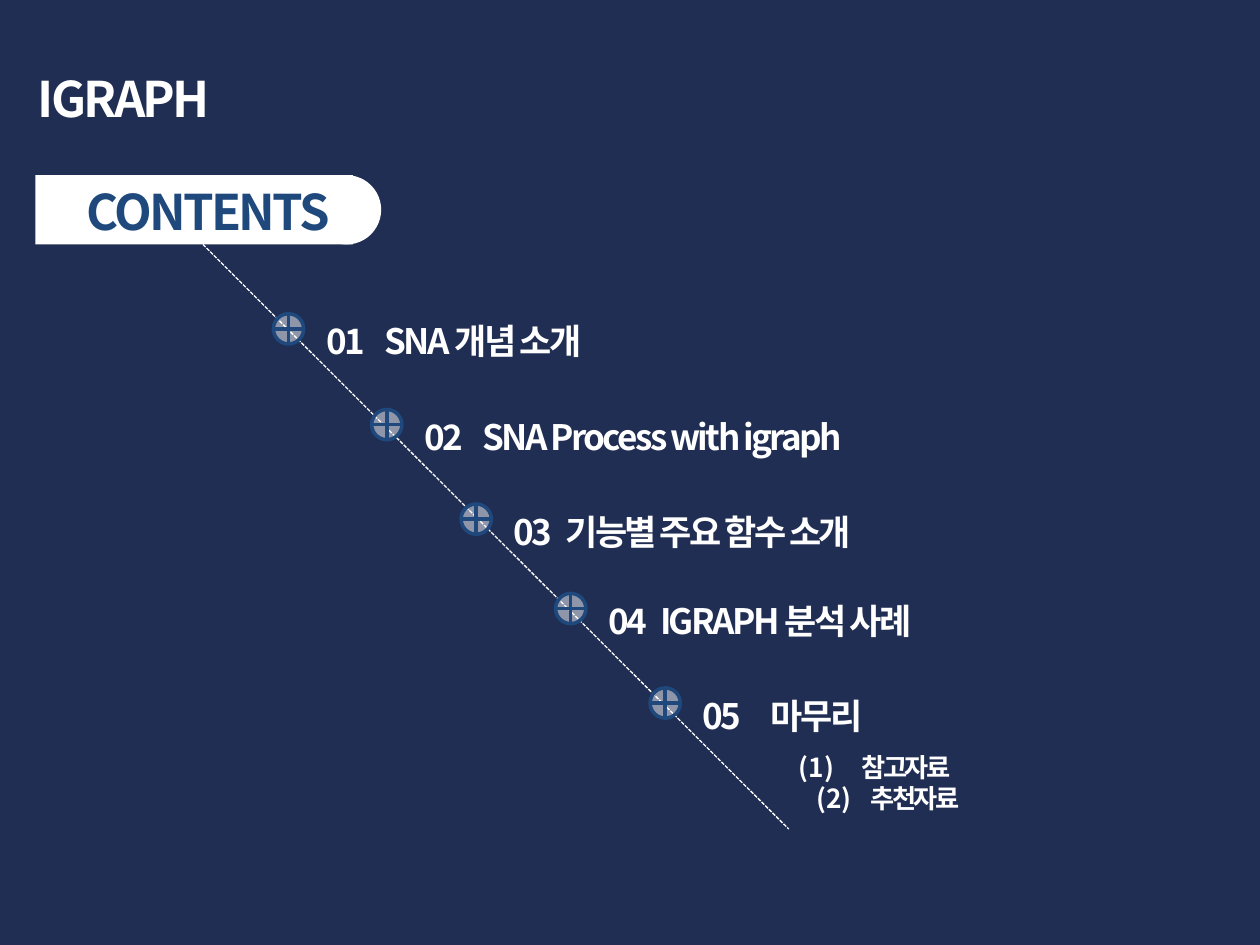
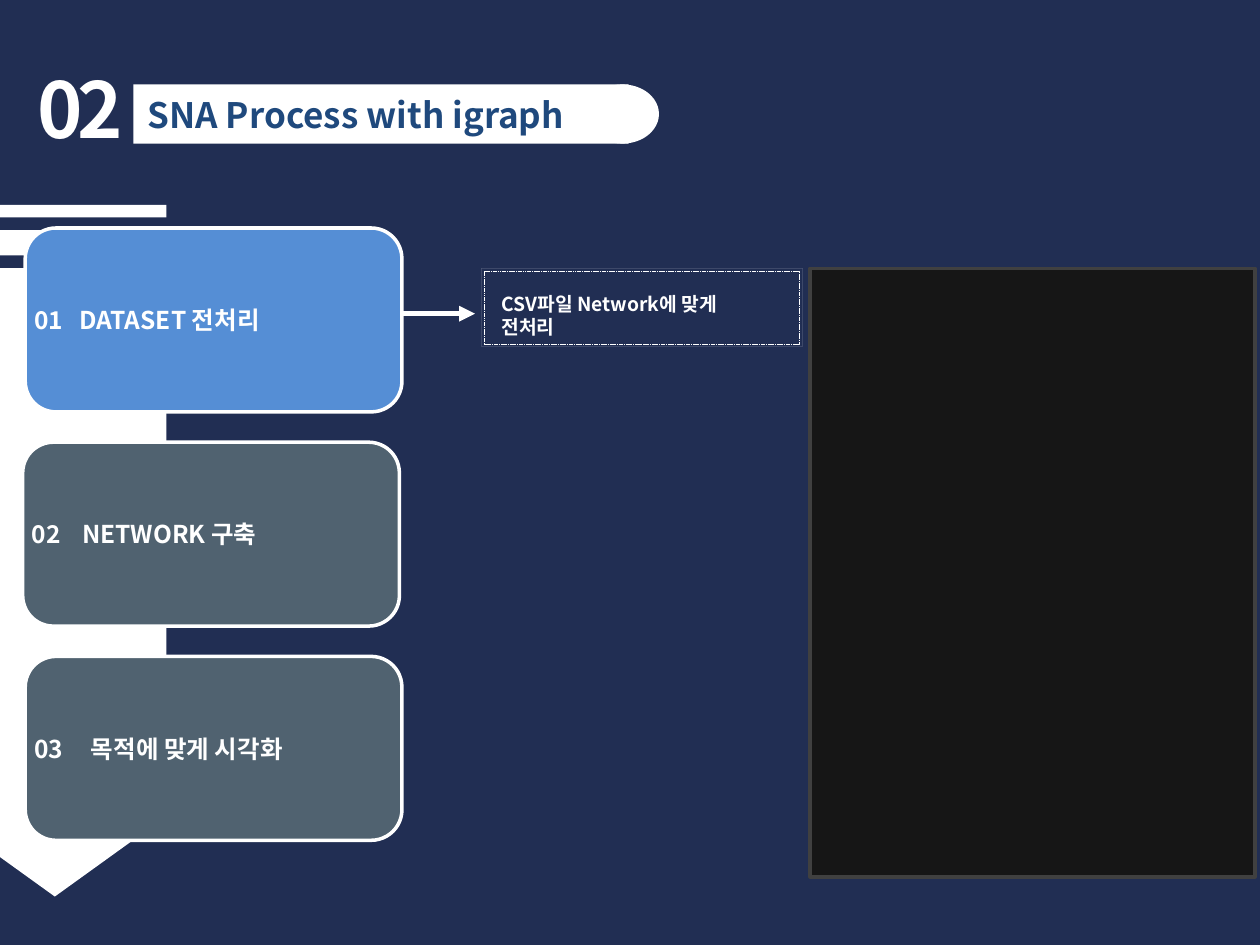
from lxml import etree
from pptx import Presentation
from pptx.dml.color import RGBColor
from pptx.enum.dml import MSO_LINE
from pptx.enum.shapes import MSO_CONNECTOR, MSO_SHAPE
from pptx.enum.text import MSO_ANCHOR, MSO_AUTO_SIZE, PP_ALIGN
from pptx.oxml.ns import qn
from pptx.util import Inches, Pt

NAVY = RGBColor(0x21, 0x2E, 0x53)
WHITE = RGBColor(0xFF, 0xFF, 0xFF)
BLUE = RGBColor(0x1F, 0x49, 0x7D)
SKY = RGBColor(0x55, 0x8E, 0xD5)
SLATE = RGBColor(0x50, 0x62, 0x70)
BLACK = RGBColor(0x16, 0x16, 0x16)
GREY = RGBColor(0x40, 0x40, 0x40)
FONT = "Noto Sans CJK KR"

RECT, OVAL = MSO_SHAPE.RECTANGLE, MSO_SHAPE.OVAL
ROUND, NODE = MSO_SHAPE.ROUNDED_RECTANGLE, MSO_SHAPE.FLOWCHART_OR
ARROW = MSO_SHAPE.STRIPED_RIGHT_ARROW
STRAIGHT = MSO_CONNECTOR.STRAIGHT
DASH = MSO_LINE.SQUARE_DOT
TOP, MIDDLE = MSO_ANCHOR.TOP, MSO_ANCHOR.MIDDLE
LEFT, FIXED = PP_ALIGN.LEFT, MSO_AUTO_SIZE.NONE
TIGHT = -1.5


def add_node(parent, tag, **attrs):
    node = etree.SubElement(parent, qn(tag))
    for name, value in attrs.items():
        node.set(name, str(value))
    return node


def fade(fill, percent):
    """Make a solid fill partly transparent."""
    add_node(fill.find(".//" + qn("a:srgbClr")), "a:alpha", val=percent * 1000)


class Deck:
    def __init__(self):
        self.prs = Presentation()
        self.prs.slide_width, self.prs.slide_height = Inches(10), Inches(7.5)
        self.slide = None

    def start(self, layout):
        self.slide = self.prs.slides.add_slide(self.prs.slide_layouts[layout])
        fill = self.slide.background.fill
        fill.solid()
        fill.fore_color.rgb = NAVY

    def style(self, shape, size, color=WHITE, space=0, anchor=TOP, tab=0):
        frame = shape.text_frame
        frame.word_wrap = True
        frame.auto_size = FIXED
        frame.vertical_anchor = anchor
        for para in frame.paragraphs:
            para.alignment = LEFT
            para.space_before = Pt(0)
            if tab:
                tabs = add_node(para._p.get_or_add_pPr(), "a:tabLst")
                add_node(tabs, "a:tab", pos=Inches(tab), algn="l")
            for run in para.runs:
                font = run.font
                font.name, font.size, font.bold = FONT, Pt(size), True
                font.color.rgb = color
                props = run._r.get_or_add_rPr()
                props.set("spc", str(int(space * 100)))
                add_node(props, "a:ea", typeface=FONT)

    def place(self, shape, x, y, w, h):
        shape.left, shape.top = Inches(x), Inches(y)
        shape.width, shape.height = Inches(w), Inches(h)

    def title(self, text, x, y, w, h, size, **look):
        shape = self.slide.shapes.title
        self.place(shape, x, y, w, h)
        shape.text_frame.text = text
        self.style(shape, size, **look)
        # Bring the title in front of its band
        self.slide.shapes._spTree.append(shape._element)

    def text(self, text, x, y, w, h, size, **look):
        box = self.slide.shapes.add_textbox(
            Inches(x), Inches(y), Inches(w), Inches(h))
        box.text_frame.text = text
        self.style(box, size, **look)

    def list(self, items, x, y, w, h, size, **look):
        """Numbered list; each item is (text, margin, hang)."""
        body = self.slide.placeholders[1]
        self.place(body, x, y, w, h)
        body.text_frame.text = "\n".join(item[0] for item in items)
        for para, (_, margin, hang) in zip(body.text_frame.paragraphs, items):
            props = para._p.get_or_add_pPr()
            props.set("marL", str(Inches(margin)))
            props.set("indent", str(-Inches(hang)))
            add_node(props, "a:buFont", typeface=FONT)
            add_node(props, "a:buAutoNum", type="arabicParenBoth")
        self.style(body, size, **look)

    def shape(self, kind, x, y, w, h, fill=None, line=None, width=2):
        shape = self.slide.shapes.add_shape(
            kind, Inches(x), Inches(y), Inches(w), Inches(h))
        shape.shadow.inherit = False
        if fill is None:
            shape.fill.background()
        else:
            shape.fill.solid()
            shape.fill.fore_color.rgb = fill
        if line is None:
            shape.line.fill.background()
        else:
            shape.line.color.rgb = line
            shape.line.width = Pt(width)
        return shape

    def band(self, x, y, w, h, cap):
        """White band with a round right end."""
        self.shape(RECT, x, y, w, h, WHITE)
        self.shape(OVAL, x + w - cap / 2 - 0.05, y, cap, h, WHITE)

    def line(self, x1, y1, x2, y2, width):
        line = self.slide.shapes.add_connector(
            STRAIGHT, Inches(x1), Inches(y1), Inches(x2), Inches(y2))
        line.line.color.rgb = WHITE
        line.line.width = Pt(width)
        add_node(line._element.spPr, "a:effectLst")
        return line

    def node(self, x, y):
        mark = self.shape(NODE, x, y, 0.24, 0.24, WHITE, BLUE)
        fade(mark._element.spPr.find(qn("a:solidFill")), 50)

    def card(self, text, x, y, fill, tab):
        card = self.shape(ROUND, x, y, 2.99, 1.46, fill, WHITE)
        frame = card.text_frame
        frame.text = text
        frame.margin_left = frame.margin_right = 0
        self.style(card, 14, anchor=MIDDLE, tab=tab)


def contents(deck):
    deck.start(1)
    deck.title("IGRAPH", 0.2, 0.49, 6.77, 0.88, 28, space=TIGHT)
    deck.band(0.28, 1.39, 2.52, 0.55, 0.55)
    deck.text("CONTENTS", 0.59, 1.39, 2.52, 0.57, 28, color=BLUE, space=TIGHT)

    # Topics along the diagonal
    deck.line(1.61, 1.94, 6.26, 6.58, 0.75).line.dash_style = DASH
    topics = [
        ("01\tSNA 개념 소개", 2.17, 2.49, 0.46),
        ("02\tSNA Process with igraph", 2.95, 3.25, 0.46),
        ("03\t기능별 주요 함수 소개", 3.66, 4, 0.41),
        ("04\tIGRAPH 분석 사례", 4.41, 4.71, 0.41),
        ("05\t마무리", 5.16, 5.46, 0.54),
    ]
    for text, x, y, tab in topics:
        deck.node(x, y)
        deck.text(text, x + 0.32, y, 4.09, 0.44, 20, space=TIGHT, tab=tab)

    # Parts of the last topic
    parts = [("참고자료", 0.5, 0.5), ("추천자료", 0.57, 0.43)]
    deck.list(parts, 6.24, 5.91, 4.09, 0.61, 15, space=TIGHT)


def process(deck):
    deck.start(5)
    deck.shape(RECT, 6.43, 2.13, 3.53, 4.83, BLACK, GREY)
    arrow = deck.shape(ARROW, -2.31, 2.76, 5.49, 3.22, WHITE)
    arrow.rotation = 90
    arrow.adjustments[0], arrow.adjustments[1] = 0.55, 0.36

    # Heading
    deck.text("02", 0.2, 0.44, 1.1, 0.84, 44, space=-3)
    deck.band(1.06, 0.67, 3.93, 0.47, 0.58)
    deck.title("SNA Process with igraph", 1.07, 0.69, 3.58, 0.44, 20, color=BLUE)

    # Steps
    steps = [
        ("01\tDATASET 전처리", 0.2, SKY, 0.36),
        ("02\tNETWORK 구축", 0.18, SLATE, 0.4),
        ("03\t목적에 맞게 시각화", 0.2, SLATE, 0.45),
    ]
    for row, (text, x, fill, tab) in enumerate(steps):
        deck.card(text, x, 1.81 + 1.7 * row, fill, tab)

    # Note on the first step
    inner = deck.shape(RECT, 3.84, 2.15, 2.5, 0.58, line=WHITE, width=0.25)
    inner.line.dash_style = DASH
    outer = deck.shape(RECT, 3.82, 2.13, 2.55, 0.62, line=WHITE, width=0.25)
    fade(outer._element.spPr.find(qn("a:ln")), 20)
    deck.text("CSV파일 Network에 맞게 전처리", 3.88, 2.27, 2.08, 0.29, 11)
    link = deck.line(3.19, 2.49, 3.77, 2.49, 3)
    add_node(link.line._get_or_add_ln(), "a:tailEnd", type="triangle")


def main():
    deck = Deck()
    contents(deck)
    process(deck)
    deck.prs.save("out.pptx")


if __name__ == "__main__":
    main()
